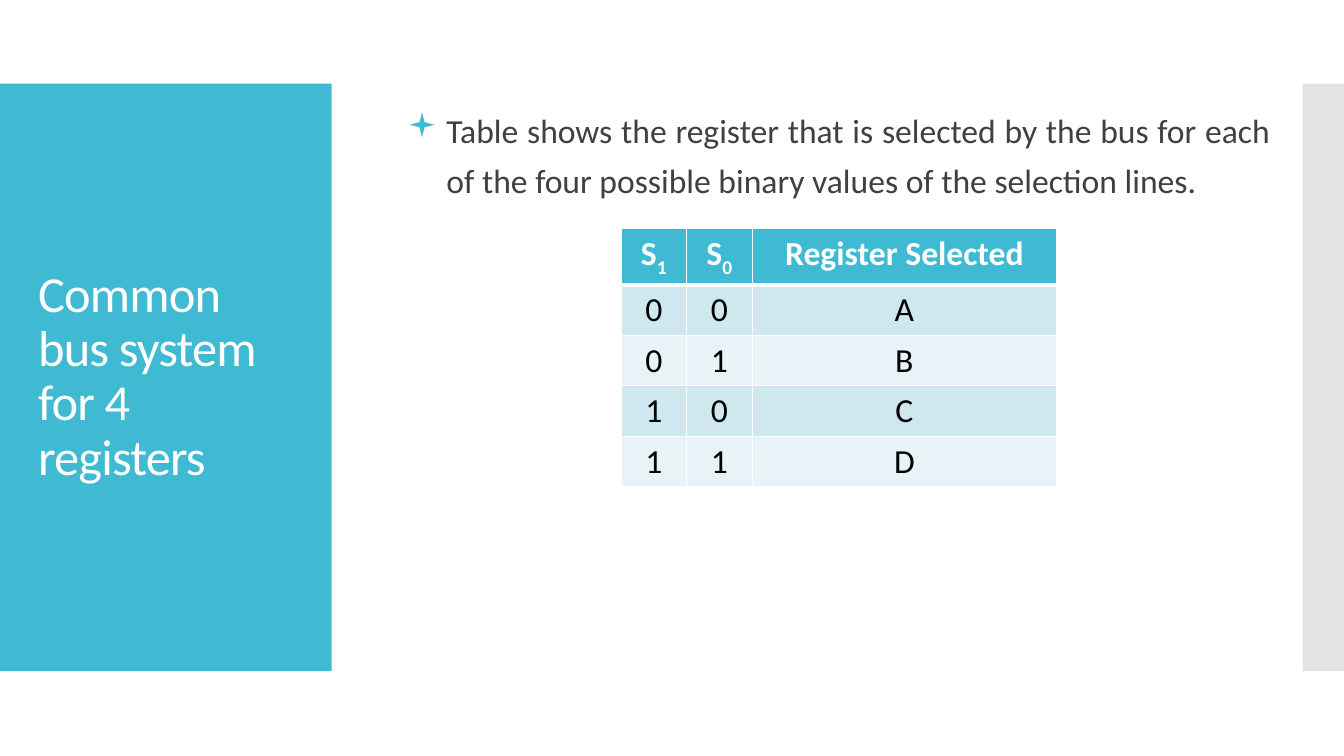
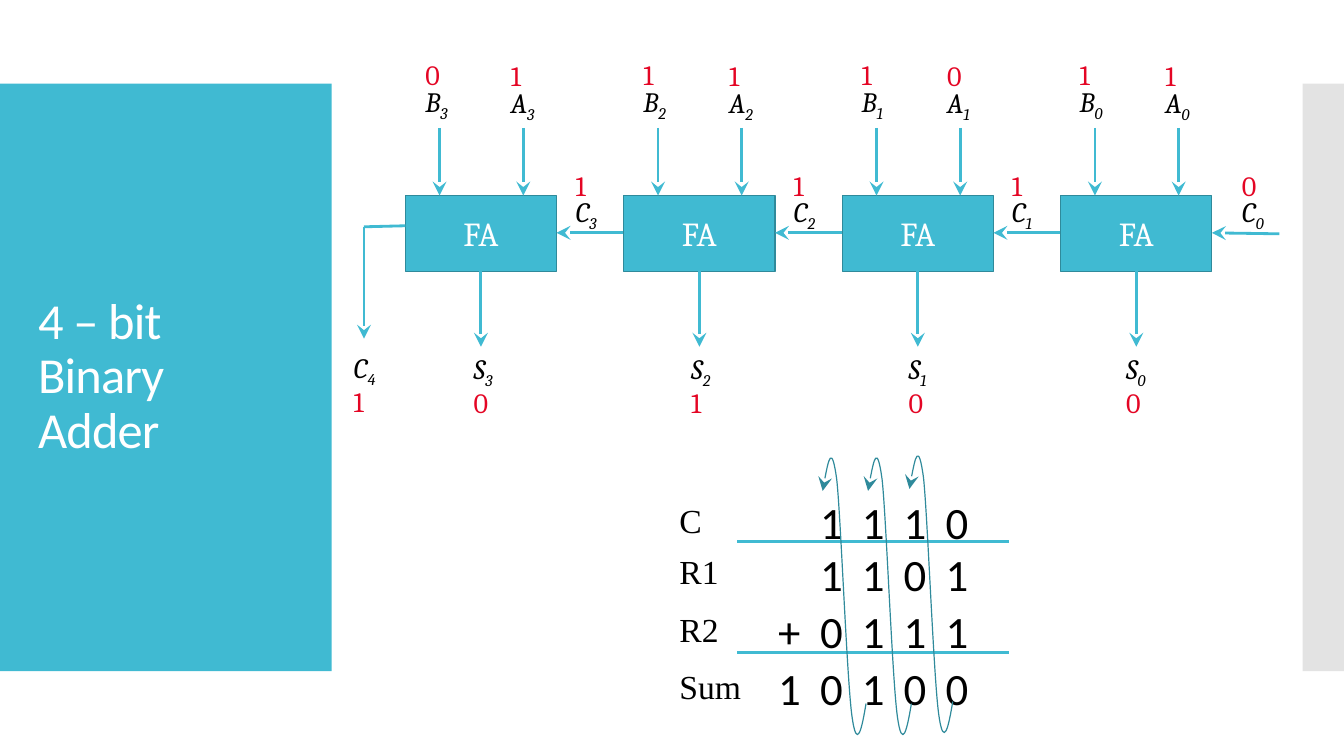
from dataclasses import dataclass

from lxml import etree
from pptx import Presentation
from pptx.dml.color import RGBColor
from pptx.enum import shapes, text
from pptx.oxml import ns
from pptx.util import Inches, Pt

TEAL, DARK_TEAL, WHITE, BLACK = "40BAD2", "2F8A9B", "FFFFFF", "000000"
GREY, BODY_GREY, RED = "C8C8C8", "404040", "E40524"
BAND_COLORS = ("CFE7EE", "E8F3F7")


@dataclass(frozen=True)
class Style:
    font: str
    size: float
    color: str
    bold: bool = False
    italic: bool = False
    tracking: int = 0


@dataclass(frozen=True)
class Signal:
    """A named bit of the adder, with its value above or below the name."""
    name: str
    index: int
    value: str
    left: float
    top: float
    value_shift: float


TITLE = Style("Calibri", 36, WHITE, tracking=-60)
BODY = Style("Calibri", 24, BODY_GREY)
HEADER = Style("Calibri", 24, WHITE, bold=True)
CELL = Style("Calibri", 24, BLACK)
ADDER = Style("Cambria", 24, WHITE)
SIGNAL = Style("Cambria", 20, BLACK, italic=True)
BIT = Style("Cambria", 20, RED)
DIGIT = Style("Calibri", 32, BLACK)
ROW_NAME = Style("Times New Roman", 24, BLACK)


def rgb(color: str) -> RGBColor:
    return RGBColor.from_string(color)


def add_xml(parent, tag: str, **attributes: str):
    child = etree.SubElement(parent, ns.qn(tag))
    for key, value in attributes.items():
        child.set(key, value)
    return child


def add_run(paragraph, words: str, style: Style, subscript: bool = False) -> None:
    run = paragraph.add_run()
    run.text = words
    font = run.font
    font.name, font.size = style.font, Pt(style.size)
    font.bold, font.italic = style.bold, style.italic
    font.color.rgb = rgb(style.color)
    properties = run._r.get_or_add_rPr()
    if style.tracking:
        properties.set("spc", str(style.tracking))
    if subscript:
        properties.set("baseline", "-25000")


def add_name(paragraph, name: str, index: str, style: Style) -> None:
    """Write a name followed by its index as a subscript."""
    add_run(paragraph, name, style)
    if index:
        add_run(paragraph, index, style, subscript=True)


def add_box(slide, left: float, top: float, width: float, height: float, wrap: bool = False):
    """Add an empty text box and return its frame."""
    frame = slide.shapes.add_textbox(
        Inches(left), Inches(top), Inches(width), Inches(height)).text_frame
    frame.word_wrap = wrap
    return frame


def add_label(slide, left: float, top: float, width: float, height: float,
              words: str, style: Style, index: str = "") -> None:
    frame = add_box(slide, left, top, width, height)
    frame.auto_size = text.MSO_AUTO_SIZE.SHAPE_TO_FIT_TEXT
    add_name(frame.paragraphs[0], words, index, style)


def add_rect(slide, left: float, top: float, width: float, height: float, fill: str,
             outline: str = ""):
    rect = slide.shapes.add_shape(shapes.MSO_SHAPE.RECTANGLE, Inches(left), Inches(top),
                                  Inches(width), Inches(height))
    rect.shadow.inherit = False
    rect.fill.solid()
    rect.fill.fore_color.rgb = rgb(fill)
    if outline:
        rect.line.color.rgb = rgb(outline)
        rect.line.width = Pt(0.85)
    else:
        rect.line.fill.background()
    return rect


def style_line(shape, color: str, width: float, arrow: bool = True) -> None:
    shape.line.color.rgb = rgb(color)
    shape.line.width = Pt(width)
    if arrow:
        outline = shape._element.spPr.find(ns.qn("a:ln"))
        add_xml(outline, "a:tailEnd", type="stealth", w="lg", len="lg")


def add_line(slide, start: tuple[float, float], end: tuple[float, float],
             arrow: bool = True) -> None:
    line = slide.shapes.add_connector(
        shapes.MSO_CONNECTOR.STRAIGHT, *(Inches(value) for value in (*start, *end)))
    style_line(line, TEAL, 2, arrow)
    add_xml(line._element.spPr, "a:effectLst")


def add_frame(prs, title: str):
    """Add a slide with the side panels and its title."""
    slide = prs.slides.add_slide(prs.slide_layouts[6])
    add_rect(slide, 0, 0.83, 3.29, 5.83, TEAL)
    edge = add_rect(slide, 12.92, 0.83, 0.41, 5.83, GREY)
    color = edge._element.spPr.find(".//" + ns.qn("a:srgbClr"))
    add_xml(color, "a:alpha", val="50000")
    frame = add_box(slide, 0.28, 1.23, 2.74, 5.03, wrap=True)
    frame.vertical_anchor = text.MSO_ANCHOR.MIDDLE
    frame.paragraphs[0].line_spacing = 0.9
    add_run(frame.paragraphs[0], title, TITLE)
    return slide


def add_bullet(slide, words: str) -> None:
    paragraph = add_box(slide, 3.94, 0.94, 8.76, 5.6, wrap=True).paragraphs[0]
    paragraph.alignment = text.PP_ALIGN.JUSTIFY
    paragraph.line_spacing = 1.25
    properties = paragraph._p.get_or_add_pPr()
    properties.set("marL", str(Inches(0.39)))
    properties.set("indent", str(-Inches(0.39)))
    add_xml(add_xml(properties, "a:buClr"), "a:srgbClr", val=TEAL)
    add_xml(properties, "a:buFont", typeface="Wingdings")
    add_xml(properties, "a:buChar", char="▪")
    add_run(paragraph, words, BODY)


def style_cell(cell, fill: str, bottom_width: float) -> None:
    properties = cell._tc.get_or_add_tcPr()
    for side, width in (("L", 1), ("R", 1), ("T", 1), ("B", bottom_width)):
        border = add_xml(properties, f"a:ln{side}", w=str(Pt(width)))
        add_xml(add_xml(border, "a:solidFill"), "a:srgbClr", val=WHITE)
    cell.fill.solid()
    cell.fill.fore_color.rgb = rgb(fill)


def add_selection_table(slide) -> None:
    rows = [(("S", "1"), ("S", "0"), ("Register Selected", ""))]
    rows += [tuple((value, "") for value in row) for row in ("00A", "01B", "10C", "11D")]
    widths = (0.65, 0.65, 3.02)
    table = slide.shapes.add_table(len(rows), len(widths), Inches(6.16), Inches(2.27),
                                   Inches(sum(widths)), Inches(0.41 * len(rows))).table
    for column, width in zip(table.columns, widths):
        column.width = Inches(width)
    for r, row in enumerate(rows):
        for c, (name, index) in enumerate(row):
            cell = table.cell(r, c)
            style_cell(cell, BAND_COLORS[(r - 1) % 2] if r else TEAL, 1 if r else 3)
            paragraph = cell.text_frame.paragraphs[0]
            paragraph.alignment = text.PP_ALIGN.CENTER
            add_name(paragraph, name, index, CELL if r else HEADER)


def add_signal(slide, signal: Signal) -> None:
    add_label(slide, signal.left, signal.top, 0.46, 0.44, signal.name, SIGNAL,
              str(signal.index))
    add_label(slide, signal.left, signal.top + signal.value_shift, 0.36, 0.44,
              signal.value, BIT)


def add_adder(slide) -> None:
    """Draw four full adders, highest bit first, with their signals."""
    first, pitch, width, top, bottom, carry_y = 4.02, 6.5 / 3, 1.5, 1.94, 2.69, 2.31
    input_pitch, sum_pitch = 6.49 / 3, 6.47 / 3
    for place, (b, a, s, c) in enumerate(("0101", "1111", "1001", "1100")):
        index = 3 - place
        left, shift = first + place * pitch, place * input_pitch
        a = "0" if index == 1 else a
        unit = add_rect(slide, left, top, width, bottom - top, TEAL, DARK_TEAL)
        unit.text_frame.vertical_anchor = text.MSO_ANCHOR.MIDDLE
        unit.text_frame.paragraphs[0].alignment = text.PP_ALIGN.CENTER
        add_run(unit.text_frame.paragraphs[0], "FA", ADDER)
        for offset in (0.34, 1.17):
            add_line(slide, (left + offset, 1.27), (left + offset, top))
        add_line(slide, (left + width / 2, bottom), (left + width / 2, 3.44))
        carry_start = (left + pitch, carry_y) if index else (12.69, 2.32)
        add_line(slide, carry_start, (left + width, carry_y))
        carry_left = 5.61 + shift if index else 12.22
        for signal in (Signal("B", index, b, 4.12 + shift, 0.79, -0.27),
                       Signal("A", index, a, 4.97 + shift, 0.8, -0.27),
                       Signal("S", index, s, 4.6 + place * sum_pitch, 3.44, 0.34),
                       Signal("C", index, c, carry_left, 1.88, -0.26)):
            add_signal(slide, signal)
    add_line(slide, (first, 2.24), (3.61, 2.25), arrow=False)
    add_line(slide, (3.61, 2.25), (3.61, 3.36))
    add_signal(slide, Signal("C", 4, "1", 3.41, 3.43, 0.34))


LOOP_WIDTH, LOOP_RISE, LOOP_DROP = 0.43, 2.41, 0.31
CARRY_LOOP = (((-0.04, 0.24), (-0.09, 0.49), (-0.14, 0.12)),
              ((-0.19, -0.25), (-0.25, -1.85), (-0.29, -2.22)),
              ((-0.34, -2.59), (-0.39, -2.35), (-0.43, -2.11)))


def add_carry_loop(slide, left: float, top: float) -> None:
    """Draw the extent of the loop as three segments, then bend each into a curve."""
    builder = slide.shapes.build_freeform(Inches(left), Inches(top))
    corners = ((-0.14, LOOP_DROP), (-0.29, -LOOP_RISE), (-LOOP_WIDTH, -2.11))
    builder.add_line_segments(
        [(Inches(left + x), Inches(top + y)) for x, y in corners], close=False)
    loop = builder.convert_to_shape()
    segments = loop._element.spPr.findall(".//" + ns.qn("a:lnTo"))
    for segment, curve in zip(segments, CARRY_LOOP):
        bend = etree.Element(ns.qn("a:cubicBezTo"))
        for x, y in curve:
            add_xml(bend, "a:pt", x=str(Inches(LOOP_WIDTH + x)), y=str(Inches(LOOP_RISE + y)))
        segment.getparent().replace(segment, bend)
    loop.shadow.inherit = False
    loop.fill.background()
    style_line(loop, DARK_TEAL, 0.85)


def add_sum(slide) -> None:
    """Write the addition digit by digit, with loops for the carries."""
    for name, digits, top in (("C", " 1110", 4.86), ("R1", " 1101", 5.37),
                              ("R2", "+0111", 5.94), ("Sum", "10100", 6.51)):
        add_label(slide, 6.64, top + 0.05, 0.83 if name == "Sum" else 0.6, 0.5,
                  name, ROW_NAME)
        for column, digit in enumerate(digits):
            if digit != " ":
                add_label(slide, 7.62 + column * 0.415, top, 0.43, 0.64, digit, DIGIT)
    for y in (5.37, 6.47):
        add_line(slide, (7.31, y), (10.01, y), arrow=False)
    for left, top in ((9.45, 6.96), (9.04, 6.98), (8.59, 6.98)):
        add_carry_loop(slide, left, top)


def main() -> None:
    prs = Presentation()
    prs.slide_width, prs.slide_height = Inches(13.33), Inches(7.5)
    bus = add_frame(prs, "Common bus system for 4 registers")
    add_bullet(bus, "Table shows the register that is selected by the bus for each of "
                    "the four possible binary values of the selection lines.")
    add_selection_table(bus)
    adder = add_frame(prs, "4 – bit Binary Adder")
    add_adder(adder)
    add_sum(adder)
    prs.save("out.pptx")


if __name__ == "__main__":
    main()
